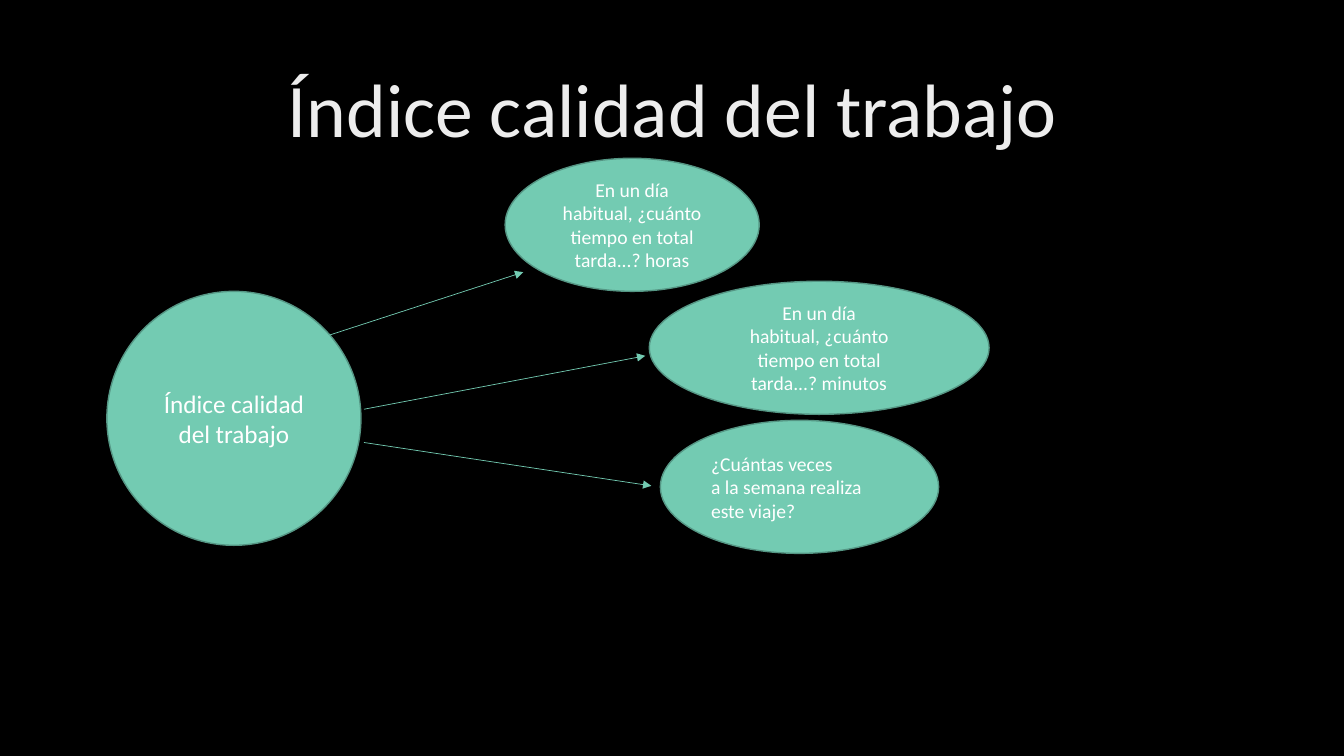
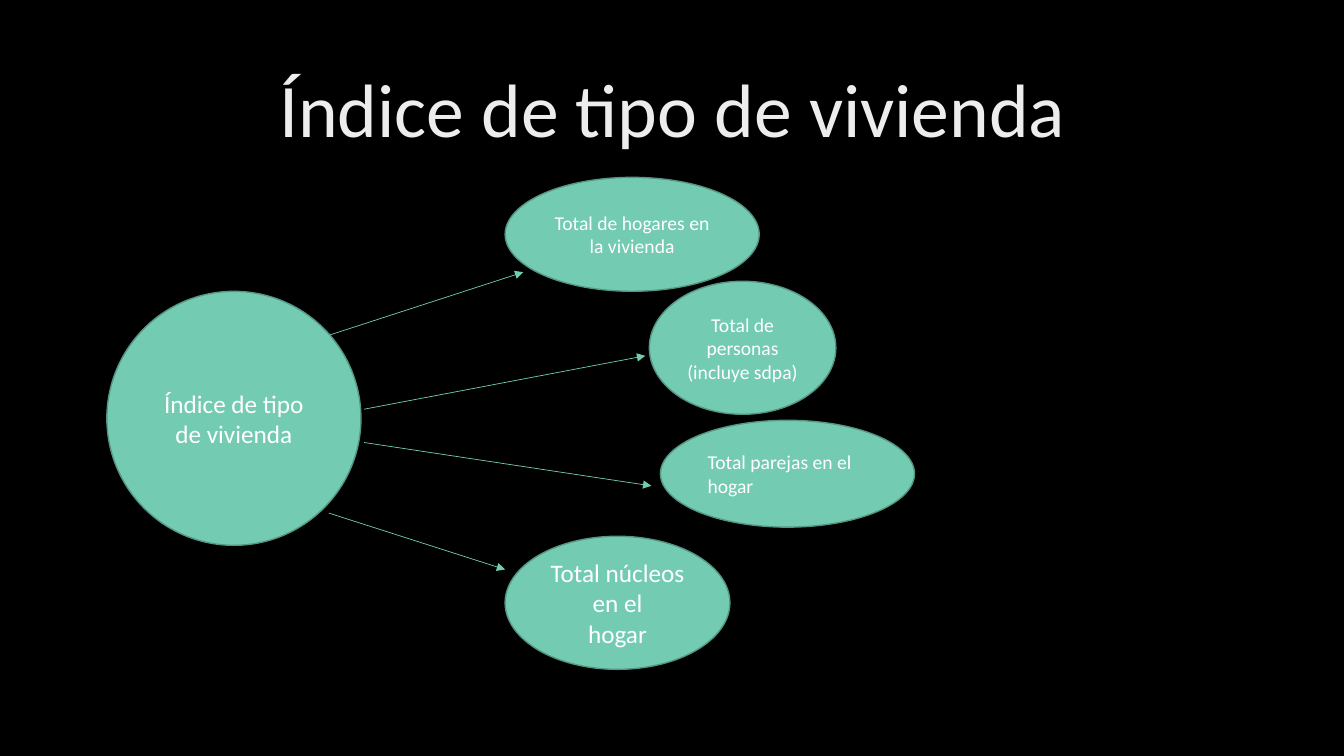
from dataclasses import dataclass

from lxml import etree
from pptx import Presentation
from pptx.dml.color import RGBColor
from pptx.enum import shapes, text
from pptx.oxml import ns
from pptx.slide import Slide
from pptx.util import Inches, Pt

BLACK = RGBColor(0x00, 0x00, 0x00)
WHITE = RGBColor(0xFF, 0xFF, 0xFF)
TITLE_GREY = RGBColor(0xED, 0xED, 0xED)
MINT = RGBColor(0x73, 0xCB, 0xB2)
DARK_MINT = RGBColor(0x55, 0x96, 0x84)
FONT = "Calibri"
TITLE_ONLY = 5
CENTER, LEFT = text.PP_ALIGN.CENTER, text.PP_ALIGN.LEFT


@dataclass(frozen=True)
class Bubble:
    left: float
    top: float
    width: float
    height: float
    paragraphs: tuple[str, ...]
    size: int = 14
    align: text.PP_ALIGN = CENTER


@dataclass(frozen=True)
class Arrow:
    start: tuple[float, float]
    end: tuple[float, float]


@dataclass(frozen=True)
class IndexMap:
    title: str
    bubbles: tuple[Bubble, ...]


# One arrow per bubble, from top to bottom
ARROWS = (
    Arrow((3.25, 3.33), (5.19, 2.7)),
    Arrow((3.61, 4.06), (6.4, 3.53)),
    Arrow((3.61, 4.39), (6.46, 4.82)),
    Arrow((3.26, 5.09), (5.01, 5.65)),
)

INDEX_MAPS = (
    IndexMap("Índice calidad del trabajo", (
        Bubble(5.01, 1.57, 2.52, 1.32,
               ("En un día\nhabitual, ¿cuánto\ntiempo en total\ntarda...? horas",)),
        Bubble(6.44, 2.79, 3.37, 1.32,
               ("En un día\nhabitual, ¿cuánto\ntiempo en total\ntarda...? minutos",)),
        Bubble(6.55, 4.17, 2.76, 1.32,
               ("¿Cuántas veces\na la semana realiza\neste viaje?",), align=LEFT),
    )),
    IndexMap("Índice de tipo de vivienda", (
        Bubble(5.01, 1.76, 2.52, 1.13, ("Total de hogares en\nla vivienda",)),
        Bubble(6.44, 2.79, 1.85, 1.32, ("Total de personas\n(incluye sdpa)",)),
        Bubble(6.55, 4.17, 2.52, 1.06, ("Total parejas en el\nhogar",), align=LEFT),
        Bubble(5.01, 5.32, 2.23, 1.32, ("Total núcleos en el", "hogar"), size=18),
    )),
)


def format_paragraph(para, size: int, color: RGBColor, align: text.PP_ALIGN) -> None:
    para.alignment = align
    para.font.name = FONT
    para.font.size = Pt(size)
    para.font.color.rgb = color


def set_title(page: Slide, wording: str) -> None:
    title = page.shapes.title
    title.left, title.top = Inches(0.92), Inches(0.4)
    title.width, title.height = Inches(11.5), Inches(1.45)
    frame = title.text_frame
    frame.text = wording
    frame.vertical_anchor = text.MSO_ANCHOR.MIDDLE
    para = frame.paragraphs[0]
    para.line_spacing = 0.9
    format_paragraph(para, 54, TITLE_GREY, CENTER)


def draw_bubble(page: Slide, bubble: Bubble) -> None:
    oval = page.shapes.add_shape(
        shapes.MSO_SHAPE.OVAL, Inches(bubble.left), Inches(bubble.top),
        Inches(bubble.width), Inches(bubble.height))
    oval.shadow.inherit = False
    oval.fill.solid()
    oval.fill.fore_color.rgb = MINT
    oval.line.color.rgb = DARK_MINT
    oval.line.width = Pt(1)
    frame = oval.text_frame
    frame.word_wrap = True
    frame.vertical_anchor = text.MSO_ANCHOR.MIDDLE
    for number, wording in enumerate(bubble.paragraphs):
        para = frame.add_paragraph() if number else frame.paragraphs[0]
        para.text = wording  # line feeds become line breaks
        format_paragraph(para, bubble.size, WHITE, bubble.align)


def draw_arrow(page: Slide, arrow: Arrow) -> None:
    line = page.shapes.add_connector(
        shapes.MSO_CONNECTOR.STRAIGHT,
        *(Inches(value) for value in arrow.start + arrow.end))
    line.line.color.rgb = MINT
    line.line.width = Pt(0.5)
    # Arrowhead, and no shadow
    properties = line.line._get_or_add_ln()
    etree.SubElement(properties, ns.qn("a:tailEnd"), type="triangle")
    etree.SubElement(properties.getparent(), ns.qn("a:effectLst"))


def build_page(deck, index_map: IndexMap) -> None:
    page = deck.slides.add_slide(deck.slide_layouts[TITLE_ONLY])
    set_title(page, index_map.title)
    # The index itself, then its components
    draw_bubble(page, Bubble(1.06, 2.89, 2.52, 2.52, (index_map.title,), size=18))
    for bubble in index_map.bubbles:
        draw_bubble(page, bubble)
    for arrow in ARROWS[:len(index_map.bubbles)]:
        draw_arrow(page, arrow)


def main() -> None:
    deck = Presentation()
    deck.slide_width, deck.slide_height = Inches(13.33), Inches(7.5)
    # Shared black background
    background = deck.slide_master.background.fill
    background.solid()
    background.fore_color.rgb = BLACK
    for index_map in INDEX_MAPS:
        build_page(deck, index_map)
    deck.save("out.pptx")


if __name__ == "__main__":
    main()
